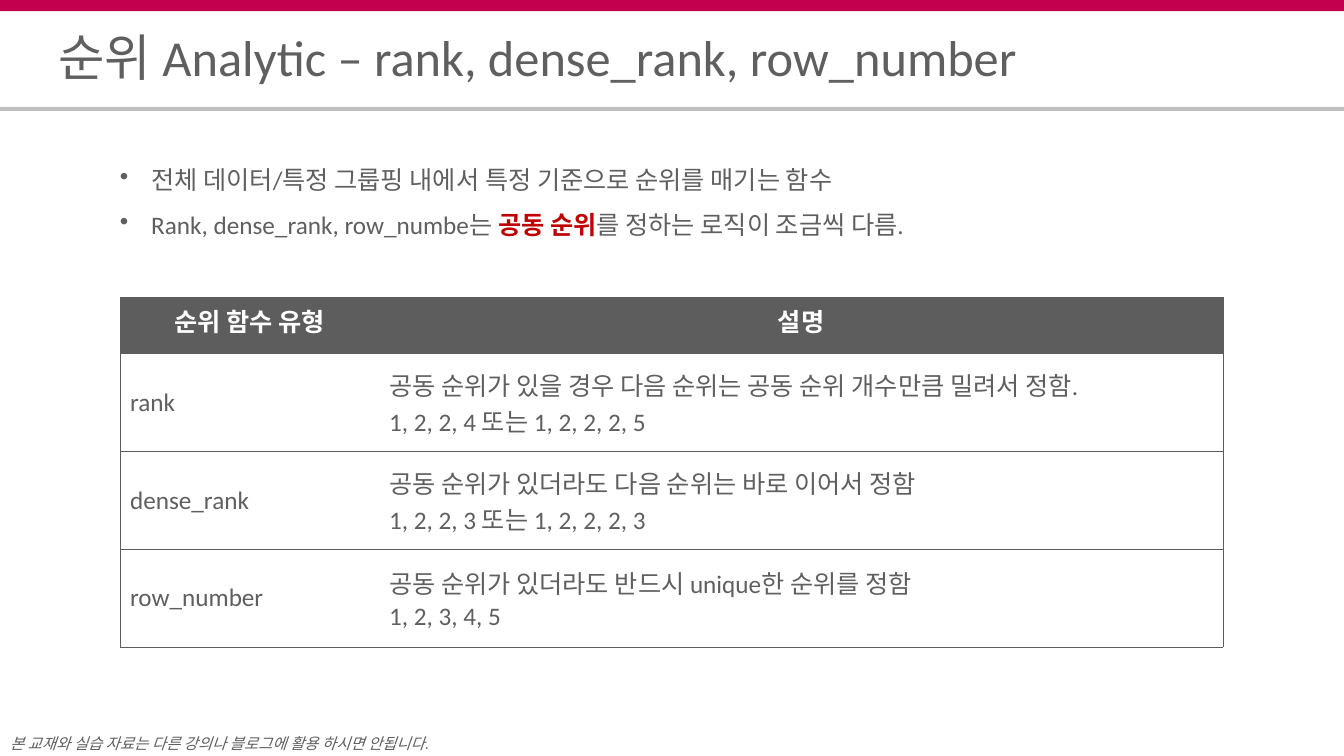
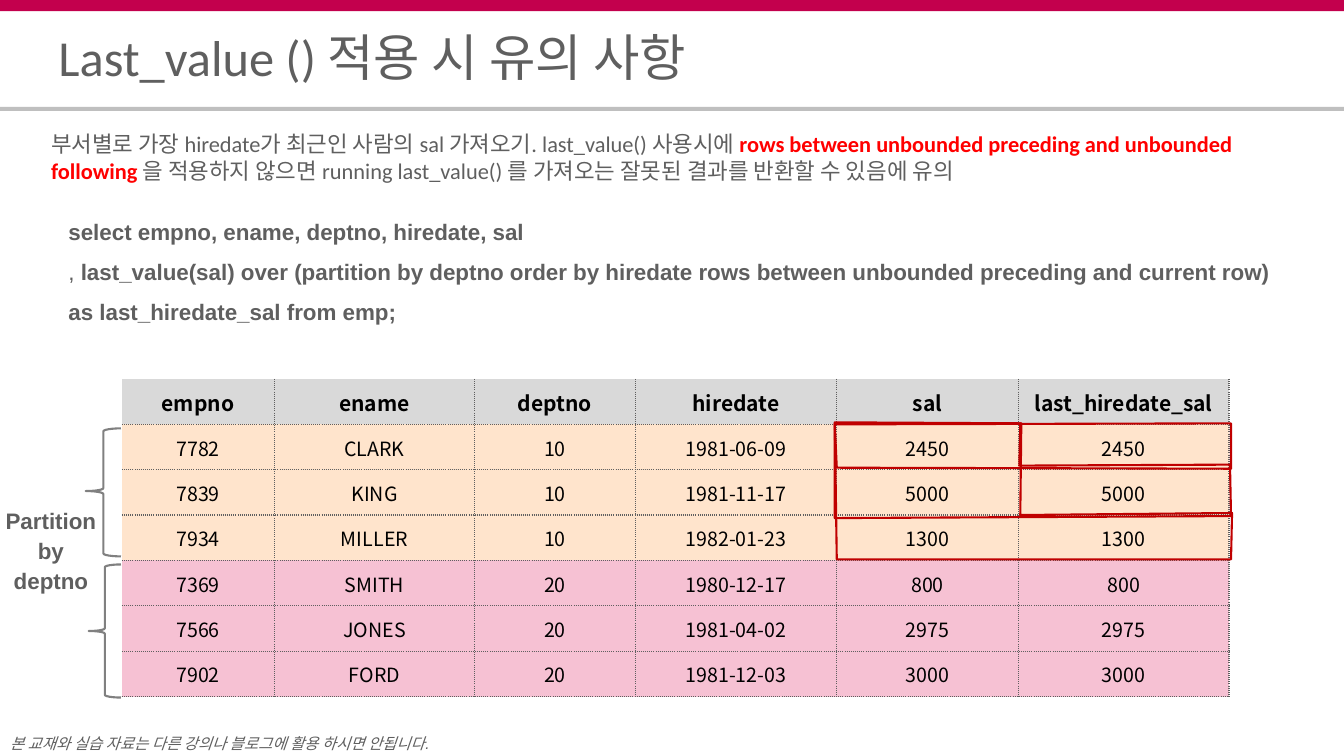
from itertools import groupby

from pptx import Presentation
from pptx import util as u
from pptx.dml.color import RGBColor
from pptx.enum import shapes, text
from pptx.oxml import parse_xml
from pptx.oxml.ns import nsdecls

PX = 9144
GREY = RGBColor(0x5F, 0x5F, 0x5F)
BORDER = RGBColor(0x5D, 0x5D, 0x5D)
CRIMSON = RGBColor(0xC3, 0x00, 0x4D)
SILVER = RGBColor(0xBF, 0xBF, 0xBF)
BRACE = RGBColor(0x80, 0x80, 0x80)
DARK_RED = RGBColor(0xC0, 0x00, 0x00)
RED = RGBColor(0xFF, 0x00, 0x00)
WHITE = RGBColor(0xFF, 0xFF, 0xFF)
BLACK = RGBColor(0x00, 0x00, 0x00)
HEADER = RGBColor(0xD9, 0xD9, 0xD9)
PEACH = RGBColor(0xFF, 0xE4, 0xCC)
PINK = RGBColor(0xF6, 0xC1, 0xD3)

NO_TABLE_STYLE = "{2D5ABB26-0587-4C30-8999-92F81FD0307C}"
FOOTER = "본 교재와 실습 자료는 다른 강의나 블로그에 활용 하시면 안됩니다."


class Deck:
    def __init__(self):
        self.prs = Presentation()
        self.prs.slide_width = 1333 * PX
        self.prs.slide_height = 750 * PX
        self.slide = None

    def new_slide(self, title):
        self.slide = self.prs.slides.add_slide(self.prs.slide_layouts[6])
        self.band(0, 11, CRIMSON)
        self.band(106, 4, SILVER)
        self.textbox((10, 719, 481, 31), [FOOTER], size=11, font="Arial",
                     italic=True, spacing=1.5)
        self.textbox((58, 33, 1217, 58), [title], size=36, spacing=0.8,
                     anchor=text.MSO_ANCHOR.MIDDLE)

    def preset(self, kind, box):
        shape = self.slide.shapes.add_shape(kind, *[n * PX for n in box])
        shape.shadow.inherit = False
        return shape

    def band(self, top, height, color):
        band = self.preset(shapes.MSO_SHAPE.RECTANGLE, (0, top, 1333, height))
        band.fill.solid()
        band.fill.fore_color.rgb = color
        band.line.fill.background()

    def outline(self, shape, color):
        shape.fill.background()
        shape.line.color.rgb = color
        shape.line.width = u.Pt(1.5)

    def brace(self, box, middle=0.5):
        brace = self.preset(shapes.MSO_SHAPE.LEFT_BRACE, box)
        brace.adjustments[1] = middle
        self.outline(brace, BRACE)

    def polygon(self, points):
        builder = self.slide.shapes.build_freeform(*points[0], scale=PX)
        builder.add_line_segments(points[1:], close=True)
        polygon = builder.convert_to_shape()
        polygon.shadow.inherit = False
        self.outline(polygon, DARK_RED)

    def fill_text(self, frame, paragraphs, size, font="Calibri", color=GREY,
                  bold=False, italic=False, align=text.PP_ALIGN.LEFT,
                  spacing=1.0, bullet=False):
        for index, runs in enumerate(paragraphs):
            paragraph = frame.add_paragraph() if index else frame.paragraphs[0]
            paragraph.alignment = align
            paragraph.line_spacing = spacing
            style = paragraph.font
            style.size, style.name = u.Pt(size), font
            style.bold, style.italic = bold, italic
            style.color.rgb = color
            for item in [runs] if isinstance(runs, str) else runs:
                run = paragraph.add_run()
                if isinstance(item, str):
                    run.text = item
                else:
                    run.text, run.font.bold, run.font.color.rgb = item
            if bullet:
                self.add_bullet(paragraph)

    def add_bullet(self, paragraph):
        props = paragraph._p.get_or_add_pPr()
        props.set("marL", str(31 * PX))
        props.set("indent", str(-31 * PX))
        mark = parse_xml(f'<a:buChar {nsdecls("a")} char="•"/>')
        props.insert_element_before(mark, "a:tabLst", "a:defRPr", "a:extLst")

    def textbox(self, box, paragraphs, inset=(0, 0), wrap=True,
                anchor=text.MSO_ANCHOR.TOP, **style):
        frame = self.slide.shapes.add_textbox(*[n * PX for n in box]).text_frame
        frame.word_wrap = wrap
        frame.vertical_anchor = anchor
        frame.margin_left = frame.margin_right = inset[0] * PX
        frame.margin_top = frame.margin_bottom = inset[1] * PX
        self.fill_text(frame, paragraphs, **style)

    def table(self, left, top, widths, heights):
        frame = self.slide.shapes.add_table(
            len(heights), len(widths), left * PX, top * PX,
            sum(widths) * PX, sum(heights) * PX)
        table = frame.table
        table.first_row = table.horz_banding = False
        table._tbl.tblPr.find("{*}tableStyleId").text = NO_TABLE_STYLE
        for column, width in zip(table.columns, widths):
            column.width = width * PX
        for row, height in zip(table.rows, heights):
            row.height = height * PX
        return table

    def cell(self, cell, paragraphs, sides, border, width, dash="solid",
             fill=None, inset=None, anchor=text.MSO_ANCHOR.MIDDLE, **style):
        props = cell._tc.get_or_add_tcPr()
        for side in sides:
            props.append(parse_xml(
                f'<a:ln{side} {nsdecls("a")} w="{u.Pt(width)}"><a:solidFill>'
                f'<a:srgbClr val="{border}"/></a:solidFill>'
                f'<a:prstDash val="{dash}"/></a:ln{side}>'))
        if fill is None:
            cell.fill.background()
        else:
            cell.fill.solid()
            cell.fill.fore_color.rgb = fill
        cell.vertical_anchor = anchor
        if inset is not None:
            cell.margin_left = cell.margin_right = cell.margin_top = inset * PX
            cell.margin_bottom = 0
        self.fill_text(cell.text_frame, paragraphs, **style)


def rank_slide(deck):
    deck.new_slide("순위 Analytic – rank, dense_rank, row_number")
    functions = [
        (["순위 함수 유형"], ["설명"]),
        (["rank"], ["공동 순위가 있을 경우 다음 순위는 공동 순위 개수만큼 밀려서 정함.",
                    "1, 2, 2, 4 또는 1, 2, 2, 2, 5"]),
        (["dense_rank"], ["공동 순위가 있더라도 다음 순위는 바로 이어서 정함",
                          "1, 2, 2, 3 또는 1, 2, 2, 2, 3"]),
        (["row_number"], ["공동 순위가 있더라도 반드시 unique한 순위를 정함",
                          "1, 2, 3, 4, 5"]),
    ]
    heading = dict(fill=BORDER, color=WHITE, bold=True,
                   align=text.PP_ALIGN.CENTER, anchor=text.MSO_ANCHOR.TOP)
    table = deck.table(119, 295, [257, 837], [56, 97, 97, 97])
    for row, entries in enumerate(functions):
        for column, (entry, edge) in enumerate(zip(entries, "LR")):
            deck.cell(table.cell(row, column), entry, edge + "TB", BORDER, 0.75,
                      size=18, **({} if row else heading))
    deck.textbox((119, 148, 1095, 90), [
        "전체 데이터/특정 그룹핑 내에서 특정 기준으로 순위를 매기는 함수",
        ["Rank, dense_rank, row_numbe는 ", ("공동 순위", True, DARK_RED),
         "를 정하는 로직이 조금씩 다름."],
    ], size=18, spacing=1.5, bullet=True)


def last_value_slide(deck):
    deck.new_slide("Last_value () 적용 시 유의 사항")
    columns = ["empno", "ename", "deptno", "hiredate", "sal", "last_hiredate_sal"]
    employees = [
        ("7782", "CLARK", "10", "1981-06-09", "2450"),
        ("7839", "KING", "10", "1981-11-17", "5000"),
        ("7934", "MILLER", "10", "1982-01-23", "1300"),
        ("7369", "SMITH", "20", "1980-12-17", "800"),
        ("7566", "JONES", "20", "1981-04-02", "2975"),
        ("7902", "FORD", "20", "1981-12-03", "3000"),
    ]
    rows = [(columns, HEADER, 15, True)]
    partitions = groupby(employees, key=lambda employee: employee[2])
    for (_, members), tint in zip(partitions, (PEACH, PINK)):
        rows += [((*member, member[-1]), tint, 14, False) for member in members]

    table = deck.table(121, 376, [151, 199, 159, 200, 180, 209], [45] * len(rows))
    for row, (values, tint, size, bold) in enumerate(rows):
        for column, value in enumerate(values):
            deck.cell(table.cell(row, column), [value], "RB", GREY, 1, "sysDot",
                      fill=tint, inset=1, size=size, bold=bold, color=BLACK,
                      font="Noto Sans CJK KR", align=text.PP_ALIGN.CENTER)

    deck.textbox((0, 501, 101, 100), ["Partition", "by", "deptno"], wrap=False,
                 size=16, font="Arial", bold=True, spacing=1.1,
                 align=text.PP_ALIGN.CENTER)
    deck.brace((85, 425, 35, 127), middle=0.49)
    deck.brace((88, 560, 32, 132))

    deck.textbox((58, 198, 1241, 127), [
        "select empno, ename, deptno, hiredate, sal",
        [(", ", False, GREY),
         "last_value(sal) over (partition by deptno order by hiredate rows between "
         "unbounded preceding and current row) as last_hiredate_sal from emp;"],
    ], inset=(10, 5), size=16, font="Arial", bold=True, spacing=1.5)
    deck.textbox((41, 124, 1234, 64), [[
        "부서별로 가장 hiredate가 최근인 사람의 sal 가져오기. last_value() 사용시에 ",
        ("rows between unbounded preceding and unbounded following ", True, RED),
        "을 적용하지 않으면 running last_value() 를 가져오는 잘못된 결과를 반환할 수 있음에 유의",
    ]], inset=(10, 5), size=16)

    window_frames = [
        [(828, 421), (1221, 420), (1221, 465), (830, 464)],
        [(828, 420), (828, 514), (1221, 512), (1220, 461), (1011, 462), (1012, 420)],
        [(828, 419), (830, 555), (1221, 555), (1222, 509), (1012, 511), (1013, 420)],
    ]
    for points in window_frames:
        deck.polygon(points)


def main():
    deck = Deck()
    rank_slide(deck)
    last_value_slide(deck)
    deck.prs.save("out.pptx")


if __name__ == "__main__":
    main()
